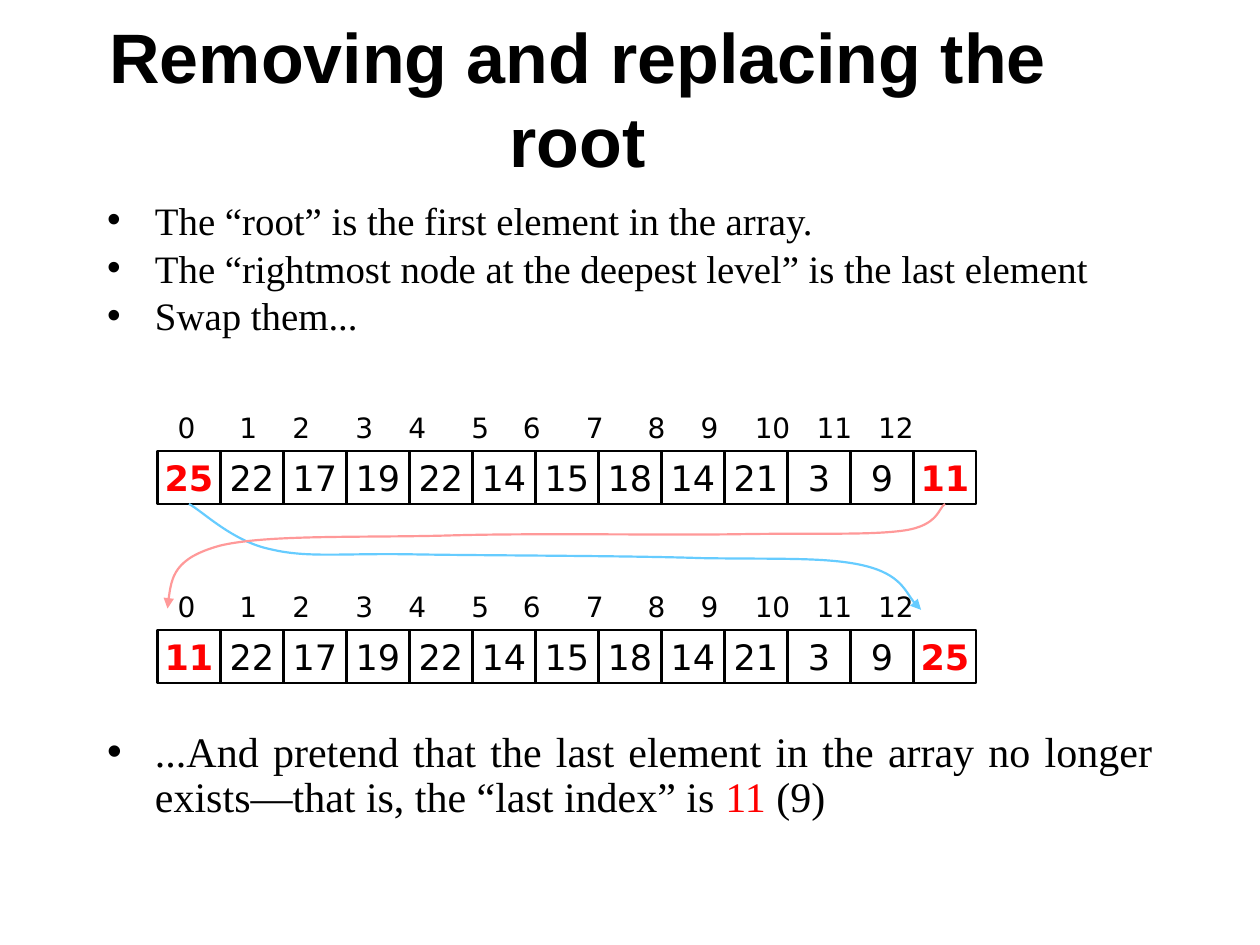
import pptx
import pptx.dml.color
import pptx.enum.shapes
import pptx.enum.text
import pptx.oxml.ns
import pptx.util
from lxml import etree

Inches = pptx.util.Inches
ALIGN = pptx.enum.text.PP_ALIGN
ANCHOR = pptx.enum.text.MSO_ANCHOR
qn = pptx.oxml.ns.qn

BLACK = pptx.dml.color.RGBColor(0x00, 0x00, 0x00)
RED = pptx.dml.color.RGBColor(0xFF, 0x00, 0x00)
BLUE = pptx.dml.color.RGBColor(0x66, 0xCC, 0xFF)
PINK = pptx.dml.color.RGBColor(0xFF, 0x99, 0x99)

CELL_WIDTH = 0.5
CELL_HEIGHT = 0.42
INDEX_STOPS = [0.49, 0.91, 1.41, 1.83, 2.33, 2.74, 3.24, 3.73, 4.15, 4.58, 5.07, 5.56]
MIDDLE_VALUES = [22, 17, 19, 22, 14, 15, 18, 14, 21, 3, 9]


def add_text(paragraph, text, font="DejaVu Sans", size=20, color=BLACK, bold=False):
    run = paragraph.add_run()
    run.text = text
    run.font.name = font
    run.font.size = pptx.util.Pt(size)
    run.font.color.rgb = color
    run.font.bold = bold


def place(shape, left, top, width, height):
    shape.left, shape.top = Inches(left), Inches(top)
    shape.width, shape.height = Inches(width), Inches(height)


def fill_title(shape, text, box):
    place(shape, *box)
    frame = shape.text_frame
    frame.auto_size = pptx.enum.text.MSO_AUTO_SIZE.NONE
    frame.vertical_anchor = ANCHOR.MIDDLE
    paragraph = frame.paragraphs[0]
    paragraph.alignment = ALIGN.CENTER
    add_text(paragraph, text, font="Arial", size=40, bold=True)


def fill_bullets(shape, items, box, size, line_spacing):
    place(shape, *box)
    frame = shape.text_frame
    frame.auto_size = pptx.enum.text.MSO_AUTO_SIZE.NONE
    for number, runs in enumerate(items):
        paragraph = frame.add_paragraph() if number else frame.paragraphs[0]
        paragraph.alignment = ALIGN.JUSTIFY
        paragraph.line_spacing = line_spacing
        paragraph.space_before = pptx.util.Pt(6)
        properties = paragraph._p.get_or_add_pPr()
        properties.set("marL", str(Inches(0.38)))
        properties.set("indent", str(Inches(-0.38)))
        for text, color in runs:
            add_text(paragraph, text, font="Times New Roman", size=size, color=color)


def add_cell(shapes, value, left, top, highlighted):
    cell = shapes.add_shape(
        pptx.enum.shapes.MSO_SHAPE.RECTANGLE,
        Inches(left), Inches(top), Inches(CELL_WIDTH), Inches(CELL_HEIGHT))
    cell.shadow.inherit = False
    cell.fill.background()
    cell.line.color.rgb = BLACK
    cell.line.width = pptx.util.Pt(1.25)
    frame = cell.text_frame
    frame.word_wrap = False
    frame.vertical_anchor = ANCHOR.MIDDLE
    paragraph = frame.paragraphs[0]
    paragraph.alignment = ALIGN.CENTER
    add_text(paragraph, str(value), color=RED if highlighted else BLACK, bold=highlighted)


def add_index_labels(shapes, count, left, top):
    labels = shapes.add_textbox(Inches(left), Inches(top), Inches(6.92), Inches(0.37))
    frame = labels.text_frame
    frame.word_wrap = True
    frame.margin_left = Inches(0.24)
    paragraph = frame.paragraphs[0]
    paragraph.space_before = pptx.util.Pt(10)
    tabs = etree.SubElement(paragraph._p.get_or_add_pPr(), qn("a:tabLst"))
    for stop in INDEX_STOPS:
        etree.SubElement(tabs, qn("a:tab"), pos=str(Inches(stop)), algn="l")
    add_text(paragraph, "\t".join(str(index) for index in range(count)), size=16)


def add_array(slide, values, left, top):
    shapes = slide.shapes.add_group_shape().shapes
    last = len(values) - 1
    for index, value in enumerate(values):
        add_cell(shapes, value, left + index * CELL_WIDTH, top, index in (0, last))
    add_index_labels(shapes, len(values), left - 0.08, top - 0.37)


def add_curved_arrow(slide, points, left, top, color):
    start, *rest = [(Inches(left + x), Inches(top + y)) for x, y in points]
    builder = slide.shapes.build_freeform(*start)
    builder.add_line_segments(rest, close=False)
    arrow = builder.convert_to_shape()
    arrow.shadow.inherit = False
    arrow.fill.background()
    arrow.line.color.rgb = color
    arrow.line.width = pptx.util.Pt(1.25)
    outline = next(arrow._element.iter(qn("a:path")))
    segments = outline.findall(qn("a:lnTo"))
    for first in range(0, len(segments), 3):
        curve = etree.SubElement(outline, qn("a:cubicBezTo"))
        for segment in segments[first:first + 3]:
            curve.append(segment[0])
            outline.remove(segment)
    etree.SubElement(arrow.line._get_or_add_ln(), qn("a:tailEnd"), type="triangle")


def build_slide(presentation):
    slide = presentation.slides.add_slide(presentation.slide_layouts[3])
    for placeholder in list(slide.placeholders):
        if placeholder.placeholder_format.idx > 2:
            placeholder._element.getparent().remove(placeholder._element)
    title, steps, conclusion = slide.placeholders
    fill_title(title, "Removing and replacing the root", (0.5, 0.3, 8.17, 0.95))
    fill_bullets(steps, [
        [("The “root” is the first element in the array.", BLACK)],
        [("The “rightmost node at the deepest level” is the last element", BLACK)],
        [("Swap them...", BLACK)],
    ], (0.75, 1.58, 8.58, 1.5), size=22.2, line_spacing=0.8)
    fill_bullets(conclusion, [[
        ("...And pretend that the last element in the array no longer "
         "exists—that is, the “last index” is ", BLACK),
        ("11", RED),
        (" (9)", BLACK),
    ]], (0.75, 5.75, 8.5, 1.33), size=24, line_spacing=0.9)
    add_array(slide, [25, *MIDDLE_VALUES, 11], 1.25, 3.58)
    add_array(slide, [11, *MIDDLE_VALUES, 25], 1.25, 5)
    add_curved_arrow(slide, [
        (0.25, 0), (0.36, 0.06), (0.6, 0.3), (0.9, 0.36),
        (1.19, 0.43), (1.46, 0.39), (2.03, 0.4),
        (2.6, 0.41), (3.73, 0.41), (4.32, 0.43),
        (4.92, 0.44), (5.32, 0.42), (5.61, 0.49),
        (5.9, 0.56), (5.97, 0.77), (6.06, 0.84),
    ], 1.25, 4, BLUE)
    add_curved_arrow(slide, [
        (6.25, 0), (6.2, 0.03), (6.2, 0.17), (5.93, 0.21),
        (5.66, 0.25), (5.22, 0.23), (4.63, 0.24),
        (4.03, 0.25), (3.02, 0.23), (2.33, 0.25),
        (1.65, 0.27), (0.88, 0.24), (0.5, 0.33),
        (0.13, 0.43), (0.1, 0.63), (0.08, 0.83),
    ], 1.25, 4, PINK)


presentation = pptx.Presentation()
presentation.slide_width = Inches(10)
presentation.slide_height = Inches(7.5)
build_slide(presentation)
presentation.save("out.pptx")
